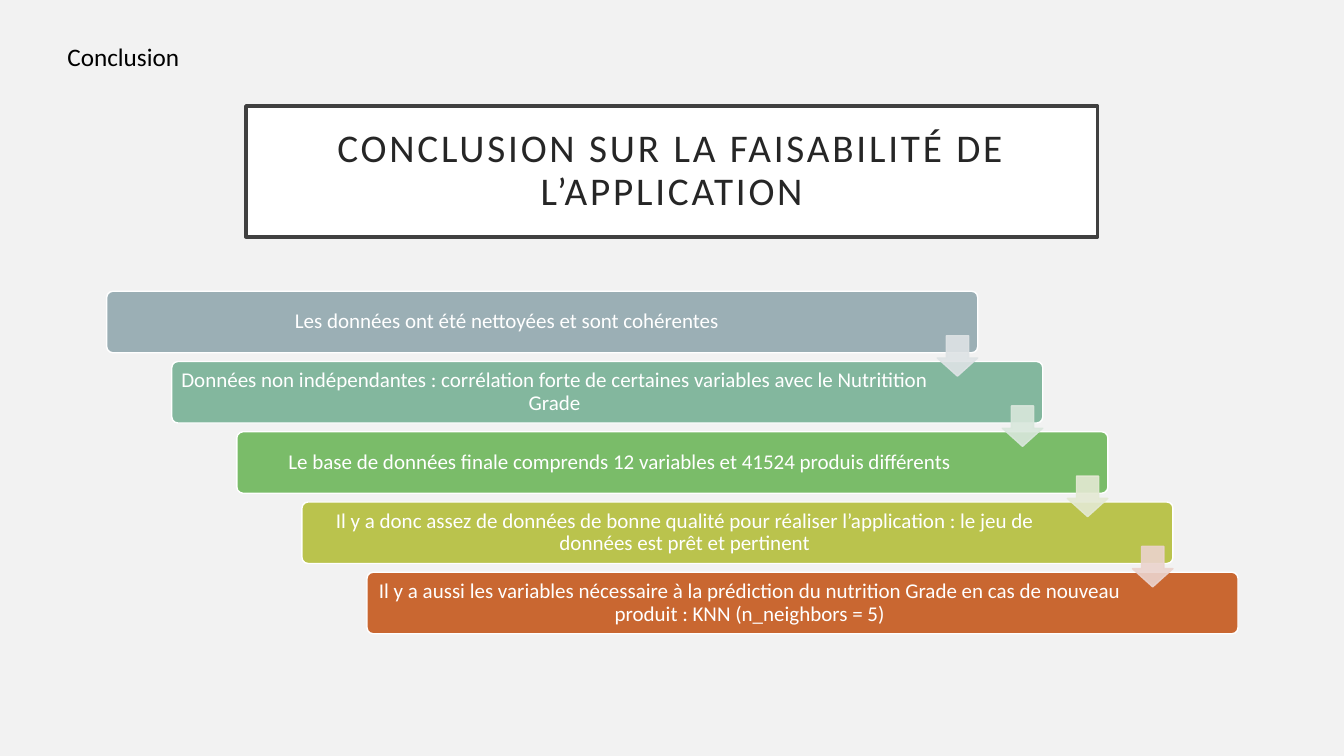
"""Builds the conclusion slide with its staircase of findings."""
from dataclasses import dataclass

from lxml import etree
from pptx import Presentation
from pptx.dml import color
from pptx.enum import shapes, text
from pptx.oxml import ns
from pptx.util import Cm, Pt


@dataclass(frozen=True)
class Theme:
    font: str = "Calibri"
    background: str = "F2F2F2"
    white: str = "FFFFFF"
    black: str = "000000"
    title_text: str = "262626"
    title_border: str = "404040"
    title_size: int = 28
    label_size: int = 18
    step_size: int = 15


@dataclass(frozen=True)
class Step:
    wording: str
    fill: str
    arrow: str | None = None
    right_inset: float = 2.81


THEME = Theme()
STEPS = [
    Step("Les données ont été nettoyées et sont cohérentes", "9BAFB5", "DEE3E5", 1.93),
    Step("Données non indépendantes : corrélation forte de certaines variables "
         "avec le Nutritition Grade", "83B79E", "D9E7DC"),
    Step("Le base de données finale comprends 12 variables et 41524 produis différents",
         "7ABC69", "E4E9D3"),
    Step("Il y a donc assez de données de bonne qualité pour réaliser l’application : "
         "le jeu de données est prêt et pertinent", "BAC34D", "EBD3CD"),
    Step("Il y a aussi les variables nécessaire à la prédiction du nutrition Grade "
         "en cas de nouveau produit : KNN (n_neighbors = 5)", "C96731"),
]
FIRST_LEFT, FIRST_TOP = 2.69, 7.34
BAR_WIDTH, BAR_HEIGHT = 21.95, 1.55
SHIFT_X, SHIFT_Y = 1.64, 1.77
ARROW_SIZE, ARROW_DROP = 1.02, 1.12


def rgb(value: str) -> color.RGBColor:
    return color.RGBColor.from_string(value)


def add_block(page, kind, left: float, top: float, width: float, height: float,
              fill: str, line: str, line_width: float):
    block = page.shapes.add_shape(kind, Cm(left), Cm(top), Cm(width), Cm(height))
    block.shadow.inherit = False
    block.fill.solid()
    block.fill.fore_color.rgb = rgb(fill)
    block.line.color.rgb = rgb(line)
    block.line.width = Pt(line_width)
    return block


def write(box, wording: str, size: int, ink: str, centred: bool = True):
    para = box.text_frame.paragraphs[0]
    para.text = wording
    para.font.name = THEME.font
    para.font.size = Pt(size)
    para.font.color.rgb = rgb(ink)
    if centred:
        para.alignment = text.PP_ALIGN.CENTER
        para.line_spacing = 0.9
    return para


def set_frame(box, inset: float, right_inset: float) -> None:
    frame = box.text_frame
    frame.word_wrap = True
    frame.vertical_anchor = text.MSO_ANCHOR.MIDDLE
    frame.margin_left = frame.margin_top = frame.margin_bottom = Cm(inset)
    frame.margin_right = Cm(right_inset)


def add_label(page) -> None:
    box = page.shapes.add_textbox(Cm(1.45), Cm(0.91), Cm(3.45), Cm(1.02))
    box.text_frame.word_wrap = False
    write(box, "Conclusion", THEME.label_size, THEME.black, centred=False)


def add_title(page) -> None:
    box = add_block(page, shapes.MSO_SHAPE.RECTANGLE, 6.2, 2.67, 21.46, 3.3,
                    THEME.white, THEME.title_border, 2.5)
    set_frame(box, 0.51, 0.51)
    para = write(box, "CONCLUSION SUR LA FAISABILITÉ DE L’APPLICATION",
                 THEME.title_size, THEME.title_text)
    para.runs[0].font._element.set("spc", "200")


def add_bar(page, step: Step, left: float, top: float) -> None:
    bar = add_block(page, shapes.MSO_SHAPE.ROUNDED_RECTANGLE, left, top,
                    BAR_WIDTH, BAR_HEIGHT, step.fill, THEME.white, 1)
    bar.adjustments[0] = 0.1
    set_frame(bar, 0.15, step.right_inset)
    write(bar, step.wording, THEME.step_size, THEME.white)


def add_arrow(page, tint: str, left: float, top: float) -> None:
    arrow = add_block(page, shapes.MSO_SHAPE.DOWN_ARROW, left, top,
                      ARROW_SIZE, ARROW_SIZE, tint, tint, 1)
    arrow.adjustments[0] = 0.55
    arrow.adjustments[1] = 0.45
    for tone in arrow._element.spPr.iter(ns.qn("a:srgbClr")):
        etree.SubElement(tone, ns.qn("a:alpha"), val="90000")


def main() -> None:
    deck = Presentation()
    deck.slide_width, deck.slide_height = Cm(33.87), Cm(19.05)
    page = deck.slides.add_slide(deck.slide_layouts[6])
    page.background.fill.solid()
    page.background.fill.fore_color.rgb = rgb(THEME.background)

    add_title(page)
    places = [(FIRST_LEFT + SHIFT_X * index, FIRST_TOP + SHIFT_Y * index)
              for index in range(len(STEPS))]
    for step, (left, top) in zip(STEPS, places):
        add_bar(page, step, left, top)
    for step, (left, top) in zip(STEPS, places):
        if step.arrow:
            add_arrow(page, step.arrow, left + BAR_WIDTH - ARROW_SIZE, top + ARROW_DROP)
    add_label(page)
    deck.save("out.pptx")


if __name__ == "__main__":
    main()
